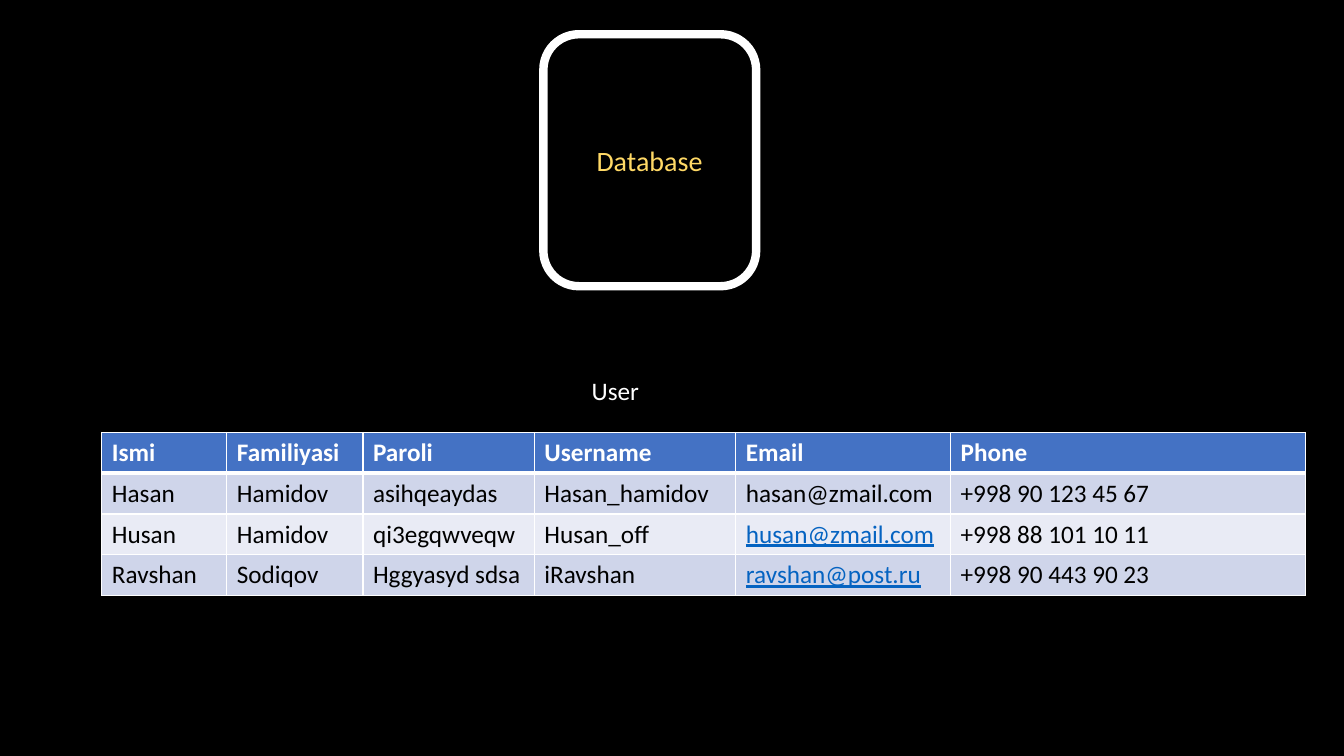
"""Build a slide that shows a database and its User table."""
from lxml import etree
from pptx import Presentation
from pptx import util as u
from pptx.dml.color import RGBColor
from pptx.enum import shapes, text
from pptx.oxml import ns

THEME = {
    "font": "Calibri", "label": 20, "body": 18,
    "back": "000000", "light": "FFFFFF", "gold": "FFD966", "link": "0563C1",
    "header": "4472C4", "bands": ("CFD5EA", "E9EBF5"),
    "outline": 6, "rule": 1, "header_rule": 3,
}
COLUMN_SHARES = (9.3, 10.13, 12.75, 15, 15.98, 26.4)
ROW_SHARE = 5.4
USERS = (
    ("Ismi", "Familiyasi", "Paroli", "Username", "Email", "Phone"),
    ("Hasan", "Hamidov", "asihqeaydas", "Hasan_hamidov", "hasan@zmail.com", "+998 90 123 45 67"),
    ("Husan", "Hamidov", "qi3egqwveqw", "Husan_off", "husan@zmail.com", "+998 88 101 10 11"),
    ("Ravshan", "Sodiqov", "Hggyasyd sdsa", "iRavshan", "ravshan@post.ru", "+998 90 443 90 23"),
)
EMAIL = USERS[0].index("Email")

deck = Presentation()
deck.slide_width, deck.slide_height = u.Inches(13.333), u.Inches(7.5)
slide = deck.slides.add_slide(deck.slide_layouts[6])
slide.background.fill.solid()
slide.background.fill.fore_color.rgb = RGBColor.from_string(THEME["back"])


def place(left, top, width, height):
    """Turn percentages of the slide into lengths."""
    across, down = deck.slide_width / 100, deck.slide_height / 100
    return [int(n) for n in (left * across, top * down, width * across, height * down)]


def write(frame, words, size=THEME["body"], color=THEME["light"], bold=False, underline=False):
    """Put one formatted run into a text frame."""
    run = frame.paragraphs[0].add_run()
    run.text = words
    run.font.name, run.font.size = THEME["font"], u.Pt(size)
    run.font.bold, run.font.underline = bold, underline
    run.font.color.rgb = RGBColor.from_string(color)


database = slide.shapes.add_shape(
    shapes.MSO_SHAPE.ROUNDED_RECTANGLE, *place(40.43, 4.53, 15.83, 33.33))
database.shadow.inherit = False
database.fill.background()
database.line.color.rgb = RGBColor.from_string(THEME["light"])
database.line.width = u.Pt(THEME["outline"])

database_label = slide.shapes.add_textbox(*place(43.65, 18.27, 11.48, 5.87)).text_frame
database_label.word_wrap = True
database_label.auto_size = text.MSO_AUTO_SIZE.SHAPE_TO_FIT_TEXT
write(database_label, "Database", size=THEME["label"], color=THEME["gold"])

users = slide.shapes.add_table(
    len(USERS), len(COLUMN_SHARES),
    *place(7.58, 57.2, sum(COLUMN_SHARES), ROW_SHARE * len(USERS))).table
for column, share in zip(users.columns, COLUMN_SHARES):
    column.width = int(deck.slide_width * share / 100)

for r, record in enumerate(USERS):
    is_header = r == 0
    fill = THEME["header"] if is_header else THEME["bands"][(r - 1) % 2]
    rules = {"L": THEME["rule"], "R": THEME["rule"],
             "T": THEME["header_rule"] if r == 1 else THEME["rule"],
             "B": THEME["header_rule"] if is_header else THEME["rule"]}
    for c, value in enumerate(record):
        cell = users.cell(r, c)
        properties = cell._tc.get_or_add_tcPr()
        for side, points in rules.items():
            edge = etree.SubElement(properties, ns.qn(f"a:ln{side}"), w=str(u.Pt(points)))
            paint = etree.SubElement(edge, ns.qn("a:solidFill"))
            etree.SubElement(paint, ns.qn("a:srgbClr"), val=THEME["light"])
        cell.fill.solid()
        cell.fill.fore_color.rgb = RGBColor.from_string(fill)
        is_link = c == EMAIL and r > 1
        ink = THEME["light"] if is_header else THEME["link"] if is_link else THEME["back"]
        write(cell.text_frame, value, color=ink, bold=is_header, underline=is_link)

user_caption = slide.shapes.add_textbox(*place(43.28, 48.93, 5.1, 5.33)).text_frame
user_caption.word_wrap = False
user_caption.auto_size = text.MSO_AUTO_SIZE.SHAPE_TO_FIT_TEXT
write(user_caption, "User")

deck.save("out.pptx")
